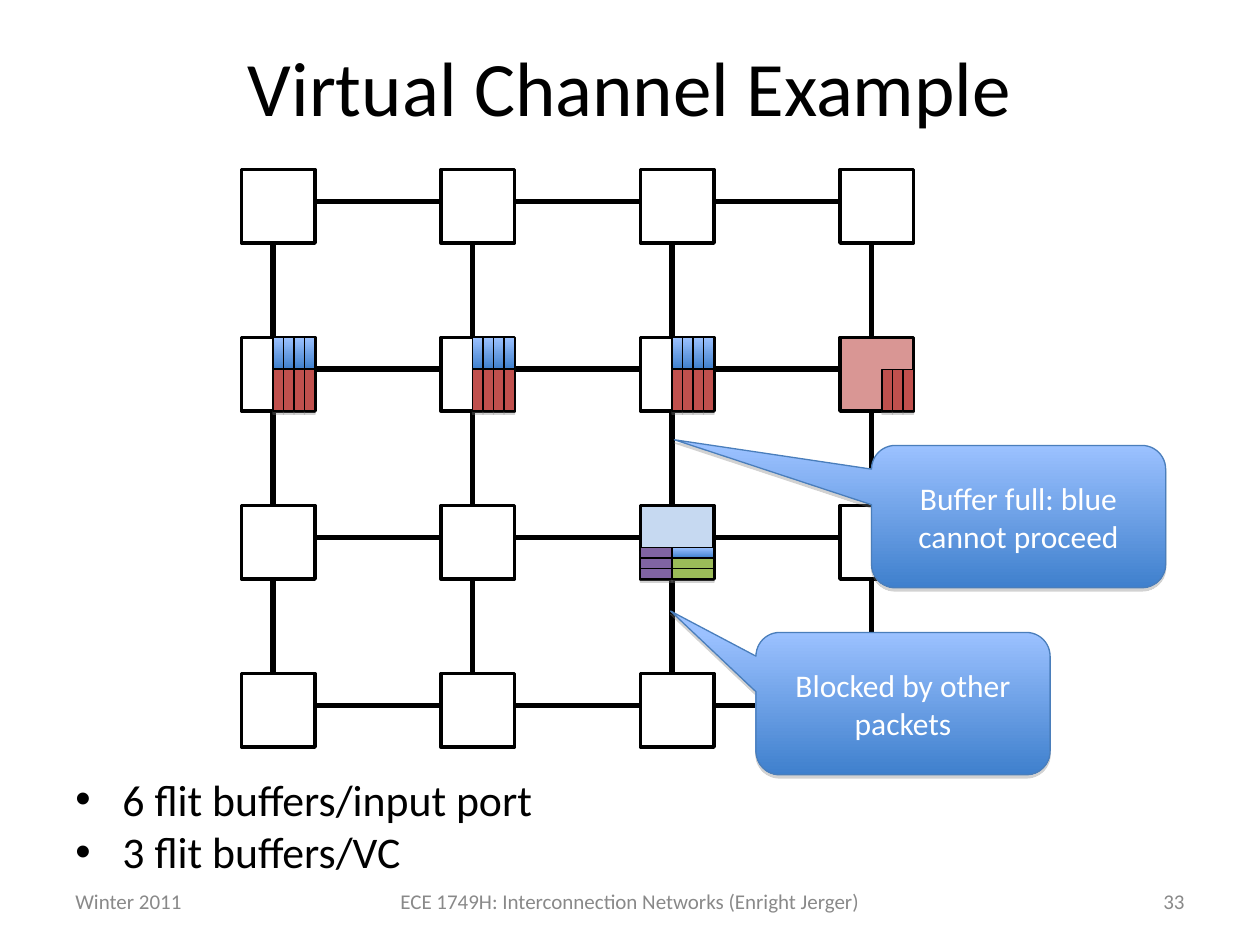
import pptx
import pptx.dml.color
import pptx.enum.shapes
import pptx.enum.text
import pptx.oxml
import pptx.oxml.ns
import pptx.util
from lxml import etree

Cm, Pt = pptx.util.Cm, pptx.util.Pt
SHAPE = pptx.enum.shapes.MSO_SHAPE
ALIGN = pptx.enum.text.PP_ALIGN
ANCHOR = pptx.enum.text.MSO_ANCHOR
qn = pptx.oxml.ns.qn

UNIT = 2.54 / 12            # one flit slot, in cm
NODE, PORT = 7, 3           # node side and link offset, in slots
PITCH_X, PITCH_Y = 19, 16   # node spacing, in slots
GRID_X, GRID_Y = 4.87, 3.42
SIZE = 4

BLUE = ("9BC1FF", "3F80CD")
RED, GREEN, PURPLE = "C0504D", "9BBB59", "8064A2"
NODE_FILLS = {(3, 1): "D99694", (2, 2): "C6D9F1"}


def rgb(color):
    return pptx.dml.color.RGBColor.from_string(color)


def grid_point(col, row, dx=0, dy=0):
    """Position in cm of a slot offset inside the node at (col, row)."""
    return (GRID_X + (col * PITCH_X + dx) * UNIT,
            GRID_Y + (row * PITCH_Y + dy) * UNIT)


def set_fill(s, fill):
    """Fill with nothing, one colour, or a top-to-bottom pair of colours."""
    if fill is None:
        s.fill.background()
    elif isinstance(fill, tuple):
        s.fill.gradient()
        s.fill.gradient_angle = 270
        for stop, color in zip(s.fill.gradient_stops, fill):
            stop.color.rgb = rgb(color)
    else:
        s.fill.solid()
        s.fill.fore_color.rgb = rgb(fill)


def add_shadow(s):
    effects = s._element.spPr.find(qn("a:effectLst"))
    shadow = etree.SubElement(effects, qn("a:outerShdw"), blurRad="0",
                              dist=str(Pt(1.8)), dir="5400000", rotWithShape="0")
    color = etree.SubElement(shadow, qn("a:srgbClr"), val="808080")
    etree.SubElement(color, qn("a:alpha"), val="35000")


def add_box(slide, kind, x, y, w, h, fill, line, width, shadow=False):
    s = slide.shapes.add_shape(kind, Cm(x), Cm(y), Cm(w), Cm(h))
    set_fill(s, fill)
    s.line.color.rgb = rgb(line)
    s.line.width = Pt(width)
    s.shadow.inherit = False
    if shadow:
        add_shadow(s)
    return s


def add_node(slide, col, row):
    x, y = grid_point(col, row)
    add_box(slide, SHAPE.RECTANGLE, x, y, NODE * UNIT, NODE * UNIT,
            NODE_FILLS.get((col, row)), "000000", 2)


def add_link(slide, start, end):
    x1, y1 = start
    x2, y2 = end
    c = slide.shapes.add_connector(pptx.enum.shapes.MSO_CONNECTOR.STRAIGHT,
                                   Cm(x1), Cm(y1), Cm(x2), Cm(y2))
    c.line.color.rgb = rgb("000000")
    c.line.width = Pt(3)
    etree.SubElement(c._element.spPr, qn("a:effectLst"))


def add_mesh(slide):
    for row in range(SIZE):
        for col in range(SIZE):
            add_node(slide, col, row)
            if col < SIZE - 1:
                add_link(slide, grid_point(col, row, NODE, PORT),
                         grid_point(col + 1, row, 0, PORT))
            if row < SIZE - 1:
                add_link(slide, grid_point(col, row, PORT, NODE),
                         grid_point(col, row + 1, PORT, 0))


def add_flit(slide, col, row, dx, dy, w, h, fill):
    x, y = grid_point(col, row, dx, dy)
    add_box(slide, SHAPE.RECTANGLE, x, y, w * UNIT, h * UNIT,
            fill, "000000", 0.75, shadow=True)


def add_flits(slide):
    for col in range(3):
        for dx in range(PORT, NODE):
            add_flit(slide, col, 1, dx, 0, 1, 3, BLUE)
            add_flit(slide, col, 1, dx, 3, 1, 4, RED)
    for dx in range(4, NODE):
        add_flit(slide, 3, 1, dx, 3, 1, 4, RED)
    for dy, fill in zip(range(4, NODE), (BLUE, GREEN, GREEN)):
        add_flit(slide, 2, 2, 0, dy, 3, 1, PURPLE)
        add_flit(slide, 2, 2, 3, dy, 4, 1, fill)


def add_run(p, text, size, color):
    r = p.add_run()
    r.text = text
    r.font.name = "Calibri"
    r.font.size = Pt(size)
    r.font.color.rgb = rgb(color)


def add_callout(slide, x, y, text, tip):
    s = add_box(slide, SHAPE.ROUNDED_RECTANGULAR_CALLOUT, x, y, 5.93, 2.87,
                BLUE, "4A7EBB", 0.75, shadow=True)
    s.adjustments[0], s.adjustments[1] = tip
    tf = s.text_frame
    tf.word_wrap = True
    tf.vertical_anchor = ANCHOR.MIDDLE
    p = tf.paragraphs[0]
    p.alignment = ALIGN.CENTER
    add_run(p, text, 18, "FFFFFF")


def add_text_frame(slide, x, y, w, h, anchor):
    tf = slide.shapes.add_textbox(Cm(x), Cm(y), Cm(w), Cm(h)).text_frame
    tf.word_wrap = True
    tf.vertical_anchor = anchor
    return tf


def add_label(slide, x, y, w, h, text, size, color, align):
    tf = add_text_frame(slide, x, y, w, h, ANCHOR.MIDDLE)
    p = tf.paragraphs[0]
    p.alignment = align
    add_run(p, text, size, color)


def add_bullets(slide, x, y, w, h, items):
    tf = add_text_frame(slide, x, y, w, h, ANCHOR.TOP)
    for i, text in enumerate(items):
        p = tf.add_paragraph() if i else tf.paragraphs[0]
        pPr = p._p.get_or_add_pPr()
        pPr.set("marL", str(Cm(0.95)))
        pPr.set("indent", str(-Cm(0.95)))
        etree.SubElement(pPr, qn("a:buFont"), typeface="Arial")
        etree.SubElement(pPr, qn("a:buChar"), char="•")
        p.line_spacing = 0.8
        if i:
            p.space_before = Pt(6.2)
        add_run(p, text, 25, "000000")


def main():
    prs = pptx.Presentation()
    prs.slide_width, prs.slide_height = Cm(25.4), Cm(19.05)
    slide = prs.slides.add_slide(prs.slide_layouts[6])

    add_label(slide, 1.27, 0.13, 22.86, 3.18, "Virtual Channel Example",
              44, "000000", ALIGN.CENTER)
    add_bullets(slide, 1.27, 15.65, 22.86, 2.21,
                ["6 flit buffers/input port", "3 flit buffers/VC"])
    add_mesh(slide)
    add_flits(slide)
    add_callout(slide, 15.24, 12.75, "Blocked by other packets", (-0.79, -0.65))
    add_callout(slide, 17.57, 8.98, "Buffer full: blue cannot proceed", (-1.17, -0.54))

    for x, w, text, align in [
        (1.27, 5.93, "Winter 2011", ALIGN.LEFT),
        (7.2, 11, "ECE 1749H: Interconnection Networks (Enright Jerger)", ALIGN.CENTER),
        (18.2, 5.93, "33", ALIGN.RIGHT),
    ]:
        add_label(slide, x, 17.65, w, 1.02, text, 12, "898989", align)

    prs.save("out.pptx")


if __name__ == "__main__":
    main()
